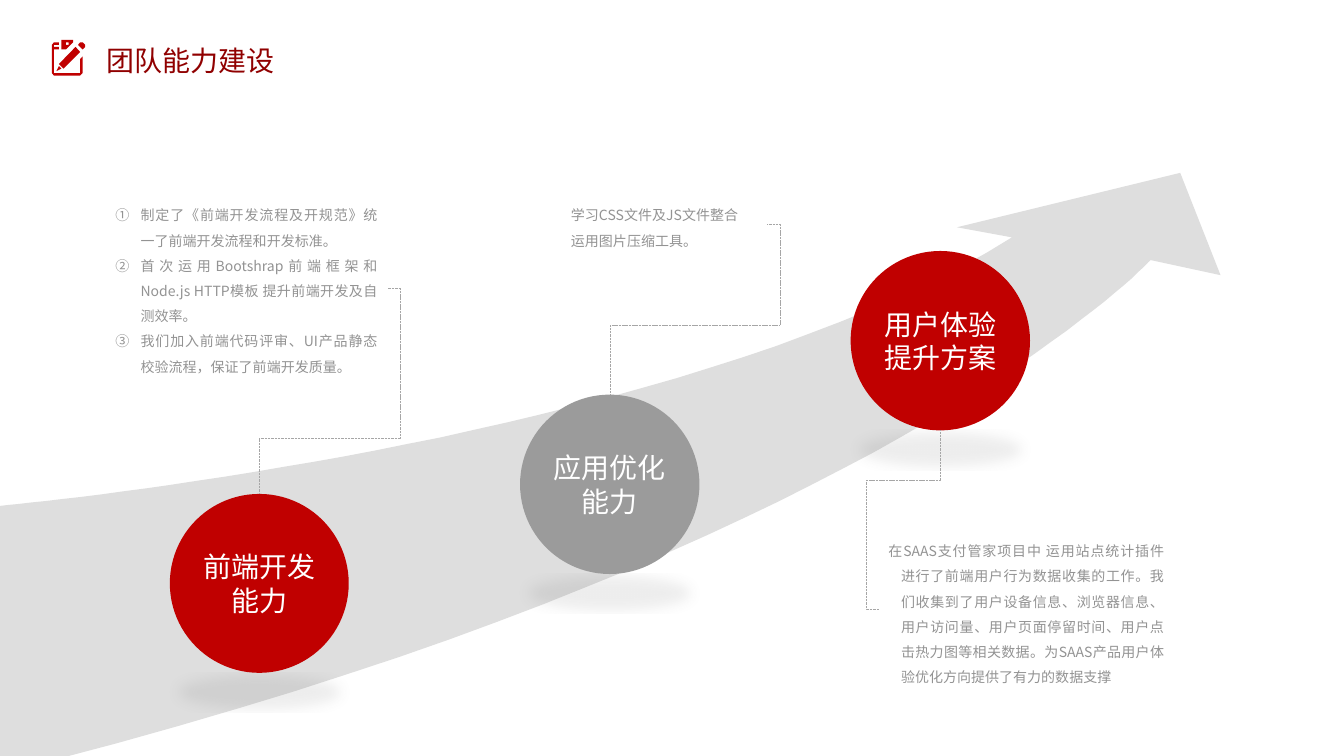
import pptx
import pptx.util
import pptx.dml.color
import pptx.enum.dml
import pptx.enum.shapes
import pptx.enum.text
import pptx.oxml
import pptx.oxml.ns
from dataclasses import dataclass
from lxml import etree

PX = 9144  # EMU per px, 100 px to the inch
NS = 'xmlns:a="http://schemas.openxmlformats.org/drawingml/2006/main"'


@dataclass(frozen=True)
class Theme:
    red: str = "C00000"
    title: str = "900000"
    grey: str = "9B9B9B"
    arrow: str = "DEDEDE"
    body: str = "939393"
    leader: str = "A6A6A6"
    shadow: str = "595959"
    white: str = "FFFFFF"
    font: str = "Noto Sans CJK SC"
    circle_font: str = "Calibri"
    heading_size: int = 40
    body_size: int = 20


THEME = Theme()

# Content
TITLE = ("团队能力建设", (191, 77, 377, 88))
# Each stage: circle, description and leader line (bend height, side position)
# Sites: circle 0 top / 4 bottom, description 1 left / 3 right
STAGES = [
    dict(name="前端开发能力", circle=(337, 980, 355), fill=THEME.red,
         box=(209, 384, 560, 374), indent=50, numbered=True, sites=(0, 3), bend=869, side=794,
         notes=["制定了《前端开发流程及开规范》统一了前端开发流程和开发标准。",
                "首次运用Bootshrap前端框架和Node.js HTTP模板 提升前端开发及自测效率。",
                "我们加入前端代码评审、UI产品静态校验流程，保证了前端开发质量。"]),
    dict(name="应用优化能力", circle=(1032, 783, 356), fill=THEME.grey,
         box=(1113, 384, 410, 121), indent=0, numbered=False, sites=(0, 3), bend=645, side=1548,
         notes=["学习CSS文件及JS文件整合", "运用图片压缩工具。"]),
    dict(name="用户体验提升方案", circle=(1688, 498, 356), fill=THEME.red,
         box=(1743, 1050, 587, 317), indent=25, numbered=False, sites=(4, 1), bend=952, side=1718,
         notes=["在SAAS支付管家项目中 运用站点统计插件 进行了前端用户行为数据收集的工作。"
                "我们收集到了用户设备信息、浏览器信息、用户访问量、用户页面停留时间、"
                "用户点击热力图等相关数据。为SAAS产品用户体验优化方向提供了有力的数据支撑"]),
]
ICON = [
    [(159, 150), (107, 150), (103, 145), (103, 89), (107, 84), (117, 84), (117, 89), (107, 89),
     (107, 93), (117, 93), (117, 98), (107, 98), (107, 145), (159, 145), (159, 117), (164, 112),
     (164, 145)],
    [(136, 93), (131, 98), (122, 98), (122, 79), (145, 79), (145, 84)],
    [(136, 86), (136, 84), (131, 84), (131, 89), (136, 89)],
    [(164, 98), (155, 89), (159, 84), (164, 84), (169, 89), (169, 93)],
    [(126, 136), (117, 127), (150, 93), (159, 103)],
    [(122, 136), (112, 141), (117, 131)],
]
ARROW_TOP = [(-23, 1006), (-23, 1006), (1345, 885), (2008, 471)]
ARROW_HEAD = [(1899, 451), (2342, 343), (2422, 546)]
ARROW_BOTTOM = [(2283, 516), (2283, 516), (1732, 1111), (-23, 1540)]


def rgb(color):
    return pptx.dml.color.RGBColor.from_string(color)


def emu(lengths):
    return [pptx.util.Emu(round(length * PX)) for length in lengths]


def curve(ends, steps=40):
    """Points along a cubic Bezier curve."""
    weights = [((1 - t) ** 3, 3 * t * (1 - t) ** 2, 3 * t * t * (1 - t), t ** 3)
               for t in (i / steps for i in range(steps + 1))]
    return [tuple(sum(w * p[axis] for w, p in zip(ws, ends)) for axis in (0, 1)) for ws in weights]


def add_outline(shapes, contours, color):
    builder = shapes.build_freeform(*contours[0][0], scale=PX)
    for i, contour in enumerate(contours):
        if i:
            builder.move_to(*contour[0])
        builder.add_line_segments(contour[1:], close=True)
    outline = builder.convert_to_shape()
    outline.shadow.inherit = False
    outline.fill.solid()
    outline.fill.fore_color.rgb = rgb(color)
    outline.line.fill.background()


def style_text(paragraph, font, size, color, align):
    paragraph.alignment = align
    for run in paragraph.runs:
        run.font.name, run.font.size = font, pptx.util.Pt(size)
        run.font.color.rgb = rgb(color)
        run.font.bold = False
        east_asian = etree.SubElement(run.font._element, pptx.oxml.ns.qn("a:ea"))
        east_asian.set("typeface", THEME.font)


def set_frame(frame, wrap, anchor, insets):
    frame.word_wrap = wrap
    frame.vertical_anchor = anchor
    frame.margin_left, frame.margin_top, frame.margin_right, frame.margin_bottom = emu(insets)


def add_circle(shapes, stage):
    left, top, size = stage["circle"]
    circle = shapes.add_shape(pptx.enum.shapes.MSO_SHAPE.OVAL, *emu((left, top, size, size)))
    circle.fill.solid()
    circle.fill.fore_color.rgb = rgb(stage["fill"])
    circle.line.fill.background()
    # Flattened shadow lying under the circle
    circle._element.spPr.append(pptx.oxml.parse_xml(
        f'<a:effectLst {NS}><a:outerShdw blurRad="241300" dist="38100" dir="5400000" sx="90000" '
        f'sy="-19000" algn="b" rotWithShape="0"><a:srgbClr val="{THEME.shadow}">'
        f'<a:alpha val="10000"/></a:srgbClr></a:outerShdw></a:effectLst>'))
    circle.text_frame.text = stage["name"]
    set_frame(circle.text_frame, True, pptx.enum.text.MSO_ANCHOR.MIDDLE, (0, 0, 0, 0))
    style_text(circle.text_frame.paragraphs[0], THEME.circle_font, THEME.heading_size,
               THEME.white, pptx.enum.text.PP_ALIGN.CENTER)
    return circle


def add_description(shapes, stage):
    description = shapes.add_textbox(*emu(stage["box"]))
    frame = description.text_frame
    frame.text = "\n".join(stage["notes"])
    set_frame(frame, True, pptx.enum.text.MSO_ANCHOR.TOP, (20, 10, 20, 10))
    frame.auto_size = pptx.enum.text.MSO_AUTO_SIZE.SHAPE_TO_FIT_TEXT
    for paragraph in frame.paragraphs:
        style_text(paragraph, THEME.font, THEME.body_size, THEME.body,
                   pptx.enum.text.PP_ALIGN.JUSTIFY)
        paragraph.line_spacing = 1.5
        properties = paragraph._p.get_or_add_pPr()
        properties.set("marL", str(stage["indent"] * PX))
        properties.set("indent", str(-stage["indent"] * PX))
        if stage["numbered"]:
            properties.append(pptx.oxml.parse_xml(
                f'<a:buAutoNum {NS} type="circleNumDbPlain"/>'))
    return description


def add_leader(shapes, stage, circle, description):
    """Four-part elbow from the circle to the side of its description."""
    left, top, size = stage["circle"]
    box_left, box_top, box_width, box_height = stage["box"]
    circle_site, box_site = stage["sites"]
    x1, y1 = left + size / 2, top + (size if circle_site == 4 else 0)
    x2, y2 = box_left + (box_width if box_site == 3 else 0), box_top + box_height / 2
    # The elbow is laid out sideways about its centre, then turned by 90 degrees
    mid_x, mid_y = (x1 + x2) / 2, (y1 + y2) / 2
    ends = emu((mid_x + y1 - mid_y, mid_y + mid_x - x1, mid_x + y2 - mid_y, mid_y + mid_x - x2))
    leader = shapes.add_connector(pptx.enum.shapes.MSO_CONNECTOR.ELBOW, *ends)
    leader.begin_connect(circle, 0)
    leader.end_connect(description, box_site)
    leader.begin_x, leader.begin_y, leader.end_x, leader.end_y = ends
    leader._element.find(".//" + pptx.oxml.ns.qn("a:stCxn")).set("idx", str(circle_site))
    properties = leader._element.spPr
    properties.find(pptx.oxml.ns.qn("a:xfrm")).set("rot", "5400000")
    geometry = properties.find(pptx.oxml.ns.qn("a:prstGeom"))
    geometry.set("prst", "bentConnector4")
    bends = ((stage["bend"] - y1) / (y2 - y1), (stage["side"] - x1) / (x2 - x1))
    for i, bend in enumerate(bends, 1):
        guide = etree.SubElement(geometry.find(pptx.oxml.ns.qn("a:avLst")), pptx.oxml.ns.qn("a:gd"))
        guide.set("name", f"adj{i}")
        guide.set("fmla", f"val {round(bend * 100000)}")
    leader.line.color.rgb = rgb(THEME.leader)
    leader.line.width = pptx.util.Pt(0.5)
    leader.line.dash_style = pptx.enum.dml.MSO_LINE.SQUARE_DOT
    properties.append(pptx.oxml.parse_xml(f"<a:effectLst {NS}/>"))


def main():
    deck = pptx.Presentation()
    deck.slide_width, deck.slide_height = emu((2667, 1500))
    slide = deck.slides.add_slide(deck.slide_layouts[5])
    shapes = slide.shapes

    # Heading
    title = shapes.title
    title.left, title.top, title.width, title.height = emu(TITLE[1])
    title.text_frame.text = TITLE[0]
    set_frame(title.text_frame, False, pptx.enum.text.MSO_ANCHOR.TOP, (20, 10, 20, 10))
    title.text_frame.auto_size = pptx.enum.text.MSO_AUTO_SIZE.SHAPE_TO_FIT_TEXT
    style_text(title.text_frame.paragraphs[0], THEME.font, THEME.heading_size, THEME.title,
               pptx.enum.text.PP_ALIGN.LEFT)
    add_outline(shapes, ICON, THEME.red)

    # Rising arrow
    add_outline(shapes, [curve(ARROW_TOP) + ARROW_HEAD + curve(ARROW_BOTTOM)], THEME.arrow)

    # Stages
    circles = [add_circle(shapes, stage) for stage in STAGES]
    for stage, circle in zip(STAGES, circles):
        add_leader(shapes, stage, circle, add_description(shapes, stage))

    deck.save("out.pptx")


if __name__ == "__main__":
    main()
